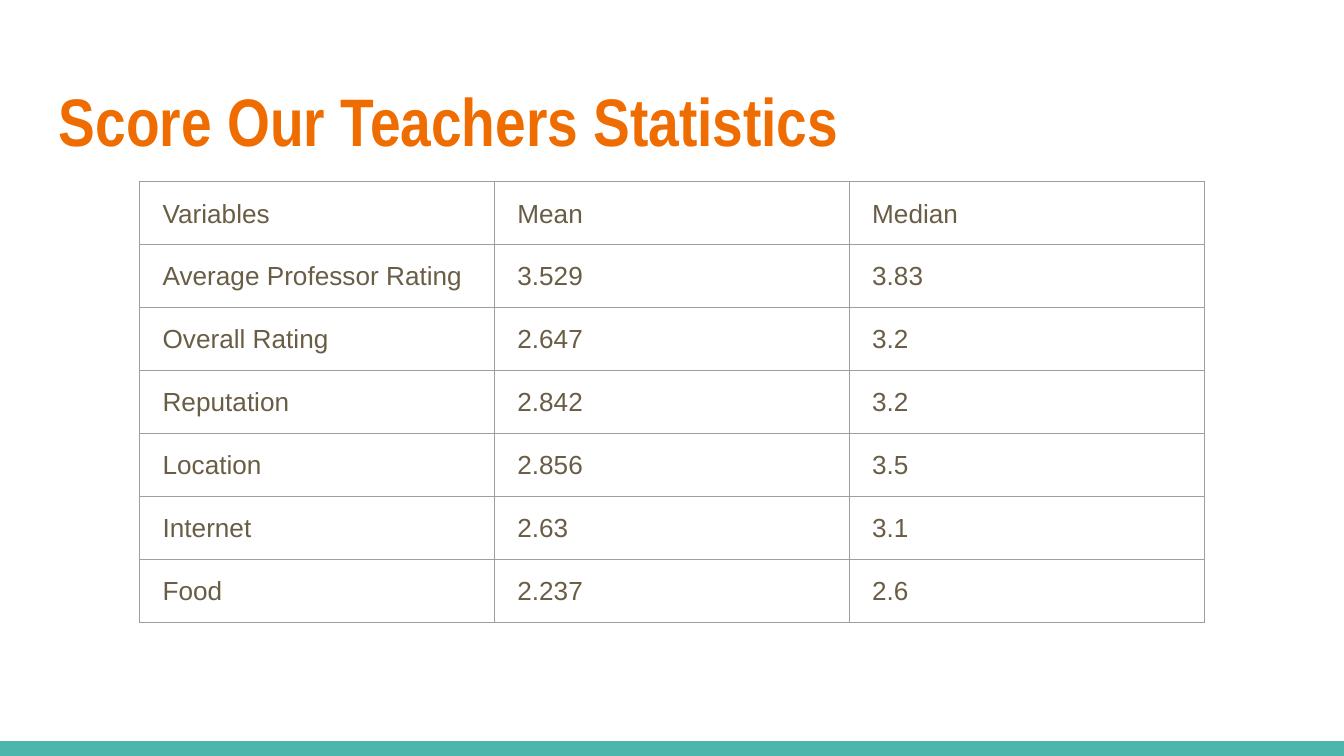
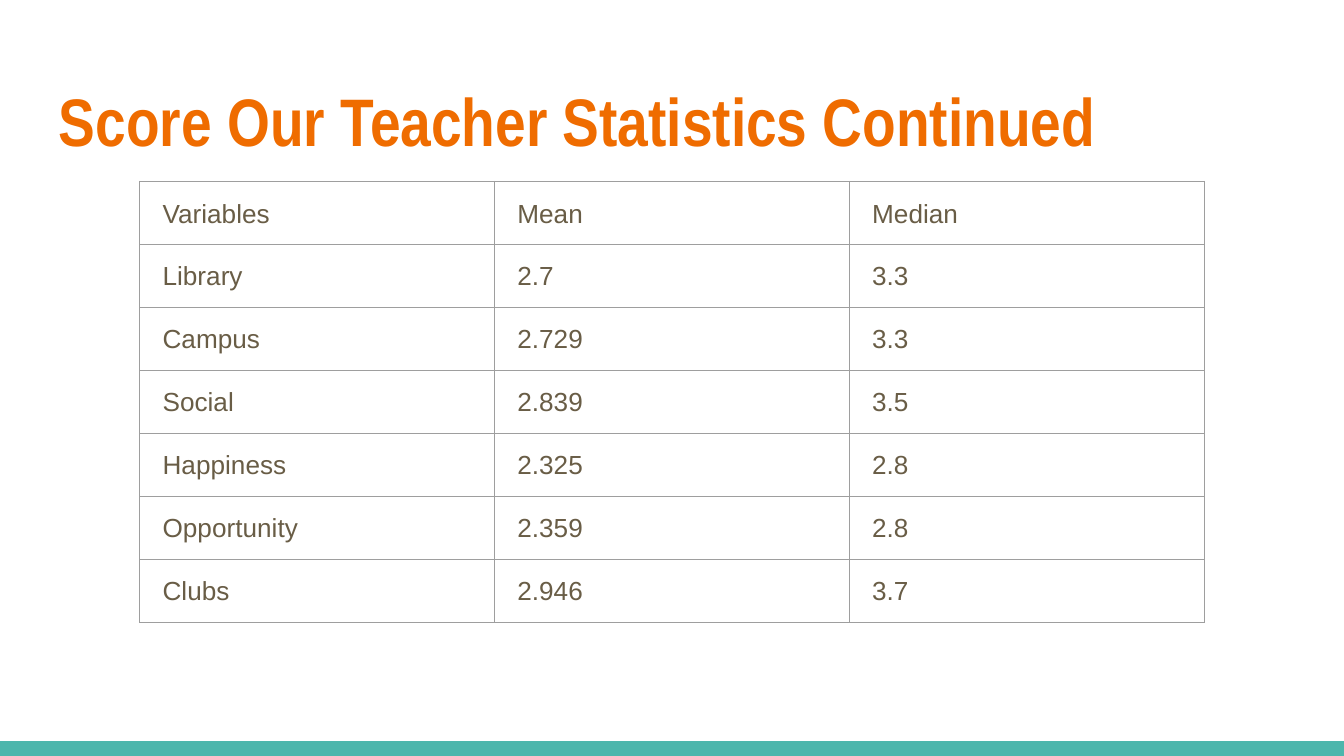
from lxml import etree
from pptx import Presentation
from pptx.dml.color import RGBColor
from pptx.enum.shapes import MSO_SHAPE
from pptx.oxml.ns import qn
from pptx.util import Inches, Pt

RECT = MSO_SHAPE.RECTANGLE
WIDE, BAND = 10, 0.11
HIGH = WIDE * 9 / 16
COLORS = {"title": "EF6C00", "text": "695D46", "band": "4DB6AC",
          "grid": "9E9E9E", "back": "FFFFFF"}

# Slide content
HEAD = ("Variables", "Mean", "Median")
PAGES = [
    ("Score Our Teachers Statistics", [
        ("Average Professor Rating", "3.529", "3.83"),
        ("Overall Rating", "2.647", "3.2"),
        ("Reputation", "2.842", "3.2"),
        ("Location", "2.856", "3.5"),
        ("Internet", "2.63", "3.1"),
        ("Food", "2.237", "2.6"),
    ]),
    ("Score Our Teacher Statistics Continued", [
        ("Library", "2.7", "3.3"),
        ("Campus", "2.729", "3.3"),
        ("Social", "2.839", "3.5"),
        ("Happiness", "2.325", "2.8"),
        ("Opportunity", "2.359", "2.8"),
        ("Clubs", "2.946", "3.7"),
    ]),
]


def color(name):
    return RGBColor.from_string(COLORS[name])


def box(x, y, w, h):
    return [Inches(n) for n in (x, y, w, h)]


def style(par, font, size, name, bold=False):
    for run in par.runs:
        run.font.name = font
        run.font.size = Pt(size)
        run.font.bold = bold
        run.font.color.rgb = color(name)


def add_base(deck):
    """Add a blank slide with its background and bottom band."""
    slide = deck.slides.add_slide(deck.slide_layouts[6])
    fill = slide.background.fill
    fill.solid()
    fill.fore_color.rgb = color("back")
    band = slide.shapes.add_shape(RECT, *box(0, HIGH - BAND, WIDE, BAND))
    band.shadow.inherit = False
    band.fill.solid()
    band.fill.fore_color.rgb = color("band")
    band.line.fill.background()
    return slide


def add_title(slide, text):
    frame = slide.shapes.add_textbox(*box(0.34, 0.49, 9.32, 0.77)).text_frame
    frame.word_wrap = True
    frame.margin_left = frame.margin_right = Inches(0.1)
    frame.margin_top = frame.margin_bottom = Inches(0.1)
    frame.text = text
    style(frame.paragraphs[0], "Arial Narrow", 36, "title", True)


def set_grid(cell):
    """Draw the four borders; they must come before the cell's fill."""
    props = cell._tc.get_or_add_tcPr()
    for i, side in enumerate(("lnL", "lnR", "lnT", "lnB")):
        line = etree.Element(qn("a:" + side), w=str(Pt(0.75)))
        fill = etree.SubElement(line, qn("a:solidFill"))
        etree.SubElement(fill, qn("a:srgbClr"), val=COLORS["grid"])
        props.insert(i, line)


def set_cell(cell, text):
    cell.margin_left = cell.margin_right = Inches(0.07)
    cell.margin_top = cell.margin_bottom = Inches(0.1)
    cell.fill.background()
    set_grid(cell)
    cell.text_frame.text = text
    par = cell.text_frame.paragraphs[0]
    par.line_spacing = 1.15
    par._p.get_or_add_pPr().set("marL", str(Inches(0.1)))
    style(par, "Arial", 14, "text")


def add_grid(slide, rows):
    shape = slide.shapes.add_table(
        len(rows), len(HEAD), *box(1.04, 1.35, 7.92, 3.12))
    table = shape.table
    table.first_row = table.horz_banding = False
    for r, row in enumerate(rows):
        table.rows[r].height = Inches(0.42)
        for c, text in enumerate(row):
            set_cell(table.cell(r, c), text)


def main():
    deck = Presentation()
    deck.slide_width, deck.slide_height = Inches(WIDE), Inches(HIGH)
    for title, rows in PAGES:
        slide = add_base(deck)
        add_title(slide, title)
        add_grid(slide, [HEAD] + rows)
    deck.save("out.pptx")


main()
